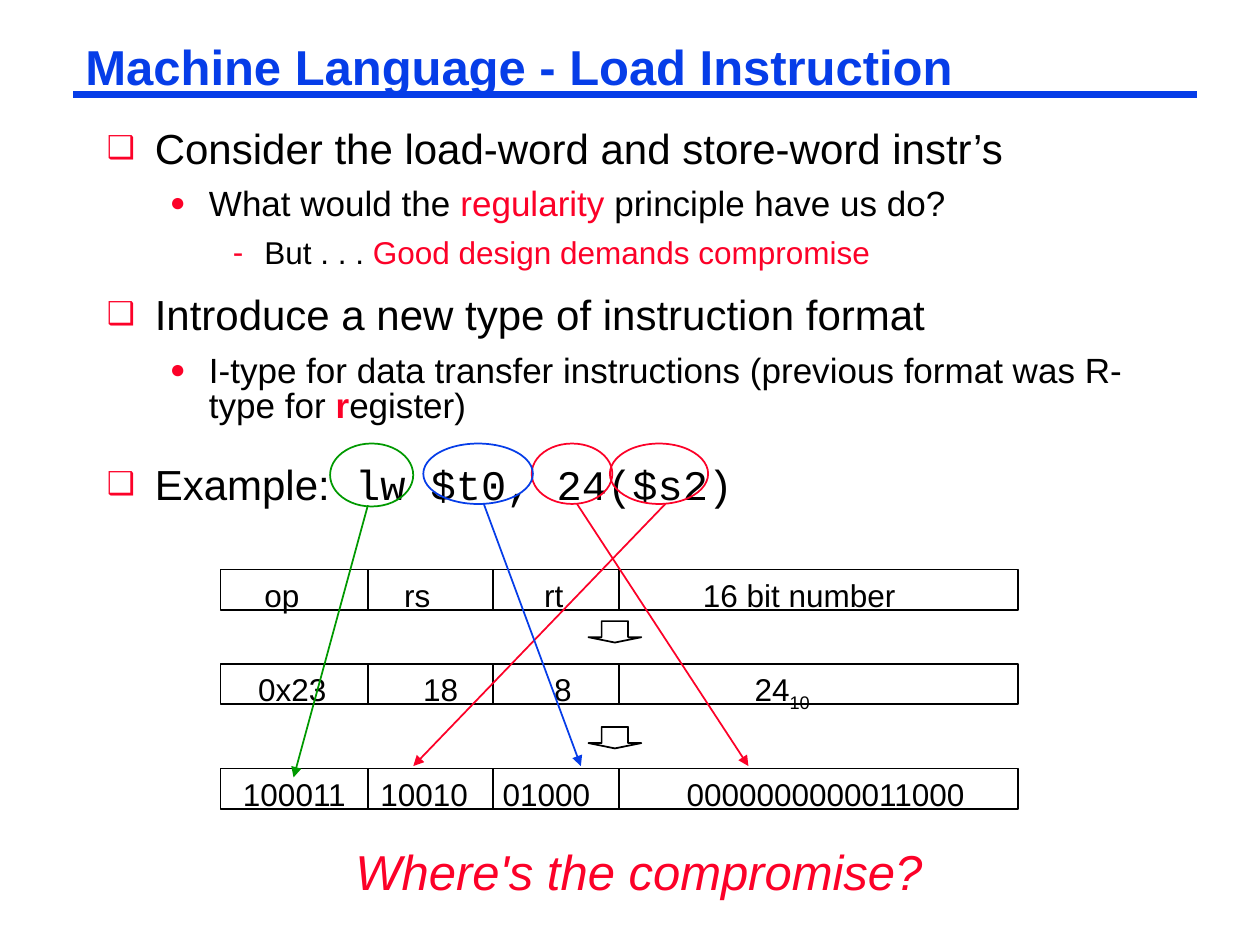
from dataclasses import dataclass
from lxml.etree import SubElement
from pptx import Presentation
from pptx.dml.color import RGBColor
from pptx.enum.shapes import MSO_CONNECTOR, MSO_SHAPE
from pptx.enum.text import MSO_ANCHOR, PP_ALIGN
from pptx.oxml.ns import qn
from pptx.util import Inches, Pt


@dataclass(frozen=True)
class Theme:
    black: str = "000000"
    red: str = "FC0128"
    blue: str = "063DE8"
    green: str = "009900"
    sans: str = "Arial"
    mono: str = "Courier New"
    headline: int = 28
    field: int = 18
    thin: float = 1
    rule: float = 4.5


THEME = Theme()

TITLE = "Machine Language - Load Instruction"
QUESTION = "Where's the compromise?"

# level: size, left margin, hanging indent, space before, bullet, bullet size %
LEVELS = [
    (24, 0.38, 0.38, 15.6, "❑", 75),
    (20, 0.81, 0.31, 9, "●", 75),
    (18, 1.25, 0.25, 8.6, "-", 100),
]

# level, line spacing, runs of (text, style)
OUTLINE = [
    (0, 0.8, [("Consider the load-word and store-word instr’s", "")]),
    (1, 0.85, [("What would the ", ""), ("regularity", "red"),
               (" principle have us do?", "")]),
    (2, 0.85, [("But . . . ", ""), ("Good design demands compromise", "red")]),
    (0, 0.8, [("Introduce a new type of instruction format", "")]),
    (1, 0.85, [("I-type for data transfer instructions (previous format was "
                "R-type for ", ""), ("r", "red bold"), ("egister)", "")]),
    (0, 1.1, [("Example:", ""), (" lw $t0, 24($s2)", "mono")]),
]

# top, fields, left edge of each field, subscript after the last field
FORMAT_ROWS = [
    (4.52, ["op", "rs", "rt", "16 bit number"], [2.1, 3.21, 4.32, 5.58], ""),
    (5.27, ["0x23", "18", "8", "24"], [2.05, 3.36, 4.4, 5.99], "10"),
    (6.1, ["100011", "10010", "01000", "0000000000011000"],
     [1.93, 3.02, 3.99, 5.45], ""),
]
ROW_LEFT, ROW_WIDTH, ROW_HEIGHT = 1.75, 6.33, 0.32
DIVIDERS = [2.92, 3.91, 4.91]
STEP_TOPS = [4.93, 5.77]

# colour, ellipse box, arrow start, arrow end
OPERANDS = [
    (THEME.green, (2.62, 3.52, 0.66, 0.5), (2.92, 4.01), (2.33, 6.17)),
    (THEME.red, (4.22, 3.52, 0.64, 0.48), (4.58, 4), (5.94, 6.08)),
    (THEME.red, (4.84, 3.52, 0.78, 0.48), (5.28, 4), (3.28, 6.08)),
    (THEME.blue, (3.36, 3.52, 0.87, 0.48), (3.84, 4), (4.61, 6.08)),
]


def style_font(font, size, color=THEME.black, name=THEME.sans):
    font.size, font.name = Pt(size), name
    font.color.rgb = RGBColor.from_string(color)


def add_line(shapes, start, end, color=THEME.black, width=THEME.thin, arrow=False):
    line = shapes.add_connector(MSO_CONNECTOR.STRAIGHT,
                                *map(Inches, (*start, *end)))
    line.line.color.rgb = RGBColor.from_string(color)
    line.line.width = Pt(width)
    if arrow:
        SubElement(line.line._get_or_add_ln(), qn("a:tailEnd"), type="triangle")
    SubElement(line._element.spPr, qn("a:effectLst"))


def add_outline(shapes, kind, box, color=THEME.black):
    shape = shapes.add_shape(kind, *map(Inches, box))
    shape.shadow.inherit = False
    shape.fill.background()
    shape.line.color.rgb = RGBColor.from_string(color)
    shape.line.width = Pt(THEME.thin)
    return shape


def add_text_frame(shapes, box):
    frame = shapes.add_textbox(*map(Inches, box)).text_frame
    frame.word_wrap = True
    return frame


def add_headline(shapes, text, box, color, spacing):
    frame = add_text_frame(shapes, box)
    paragraph = frame.paragraphs[0]
    paragraph.text, paragraph.line_spacing = text, spacing
    style_font(paragraph.font, THEME.headline, color)
    return frame, paragraph


def set_bullet(paragraph, margin, hanging, character, percent):
    properties = paragraph._p.get_or_add_pPr()
    properties.set("marL", str(Inches(margin)))
    properties.set("indent", str(-Inches(hanging)))
    color = SubElement(properties, qn("a:buClr"))
    SubElement(color, qn("a:srgbClr"), val=THEME.red)
    SubElement(properties, qn("a:buSzPct"), val=str(percent * 1000))
    SubElement(properties, qn("a:buFont"), typeface=THEME.sans)
    SubElement(properties, qn("a:buChar"), char=character)


def add_body(shapes):
    frame = add_text_frame(shapes, (0.75, 1, 8.58, 4.17))
    for index, (level, spacing, runs) in enumerate(OUTLINE):
        size, margin, hanging, before, character, percent = LEVELS[level]
        paragraph = frame.add_paragraph() if index else frame.paragraphs[0]
        paragraph.level, paragraph.line_spacing = level, spacing
        if index:
            paragraph.space_before = Pt(before)
        set_bullet(paragraph, margin, hanging, character, percent)
        style_font(paragraph.font, size)
        for text, style in runs:
            run = paragraph.add_run()
            run.text = text
            style_font(run.font, size,
                       THEME.red if "red" in style else THEME.black,
                       THEME.mono if "mono" in style else THEME.sans)
            if "bold" in style:
                run.font.bold = True


def add_format_row(shapes, top, fields, lefts, subscript):
    """Draw one instruction word, its fields set on tab stops."""
    group = shapes.add_group_shape().shapes
    add_outline(group, MSO_SHAPE.RECTANGLE, (ROW_LEFT, top, ROW_WIDTH, ROW_HEIGHT))
    for x in DIVIDERS:
        add_line(group, (x, top), (x, top + ROW_HEIGHT))
    left = lefts[0] - 0.1
    frame = add_text_frame(group, (left, top, ROW_LEFT + ROW_WIDTH - left, 0.4))
    paragraph = frame.paragraphs[0]
    tabs = SubElement(paragraph._p.get_or_add_pPr(), qn("a:tabLst"))
    for x in lefts[1:]:
        SubElement(tabs, qn("a:tab"), pos=str(Inches(x - lefts[0])), algn="l")
    style_font(paragraph.font, THEME.field)
    paragraph.add_run().text = "\t".join(fields)
    if subscript:
        run = paragraph.add_run()
        run.text = subscript
        run.font._element.set("baseline", "-25000")


def main():
    presentation = Presentation()
    presentation.slide_width, presentation.slide_height = Inches(10), Inches(7.5)
    shapes = presentation.slides.add_slide(presentation.slide_layouts[6]).shapes

    add_line(shapes, (0.58, 0.75), (9.5, 0.75), THEME.blue, THEME.rule)
    add_body(shapes)
    frame, paragraph = add_headline(shapes, TITLE, (0.58, 0.33, 8.92, 0.46),
                                    THEME.blue, 0.87)
    frame.vertical_anchor = MSO_ANCHOR.MIDDLE
    paragraph.font.bold = True

    for row in FORMAT_ROWS:
        add_format_row(shapes, *row)
    for top in STEP_TOPS:
        arrow = add_outline(shapes, MSO_SHAPE.DOWN_ARROW, (4.67, top, 0.42, 0.17))
        arrow.adjustments[0], arrow.adjustments[1] = 0.5, 0.25
    for color, box, start, end in OPERANDS:
        group = shapes.add_group_shape().shapes
        add_outline(group, MSO_SHAPE.OVAL, box, color)
        add_line(group, start, end, color, arrow=True)

    _, paragraph = add_headline(shapes, QUESTION, (0.78, 6.72, 8.58, 0.5),
                                THEME.red, 0.8)
    paragraph.alignment = PP_ALIGN.CENTER
    paragraph.font.italic = True

    presentation.save("out.pptx")


if __name__ == "__main__":
    main()
